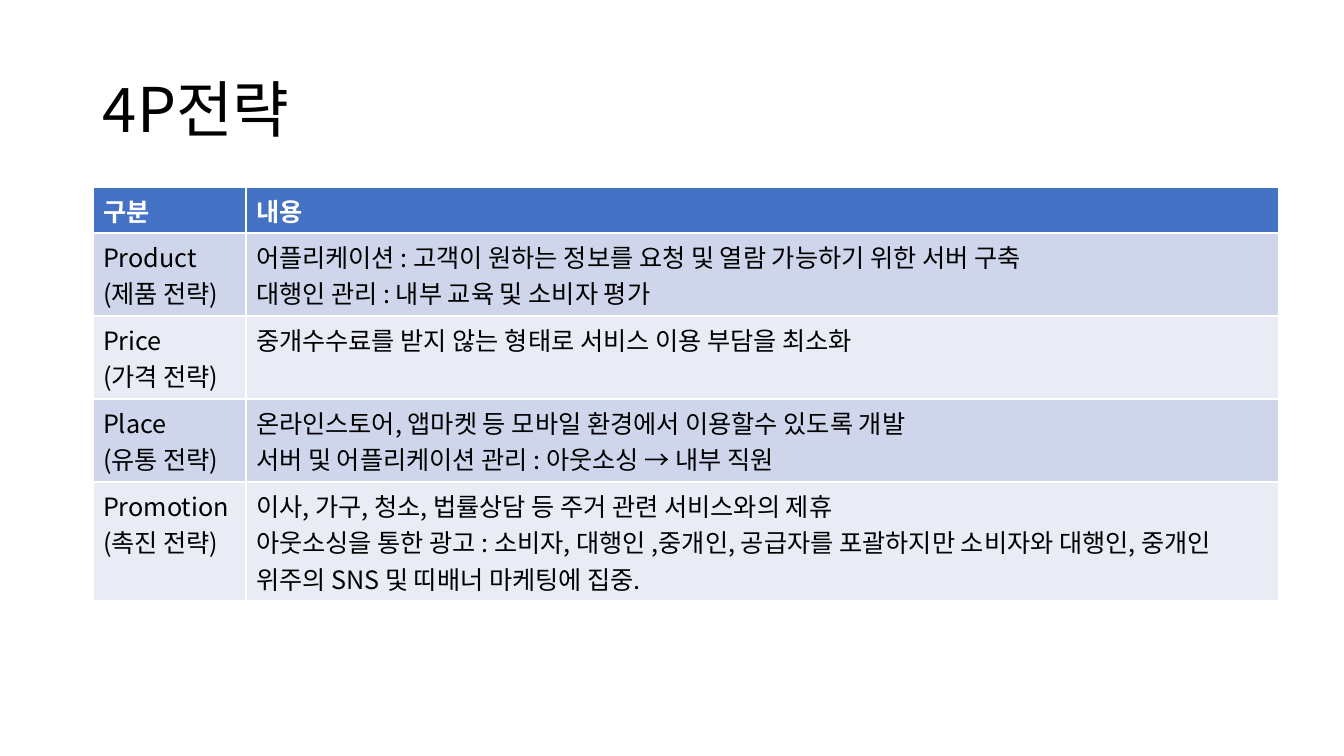
from pptx import Presentation
from pptx.dml.color import RGBColor
from pptx.enum.text import MSO_ANCHOR
from pptx.oxml.ns import qn
from pptx.util import Pt
from lxml import etree

TITLE = "4P전략"
ROWS = [
    ("구분", "내용"),
    ("Product\n(제품 전략)",
     "어플리케이션 : 고객이 원하는 정보를 요청 및 열람 가능하기 위한 서버 구축\n"
     "대행인 관리 : 내부 교육 및 소비자 평가"),
    ("Price\n(가격 전략)",
     "중개수수료를 받지 않는 형태로 서비스 이용 부담을 최소화"),
    ("Place\n(유통 전략)",
     "온라인스토어, 앱마켓 등 모바일 환경에서 이용할수 있도록 개발\n"
     "서버 및 어플리케이션 관리 : 아웃소싱 → 내부 직원"),
    ("Promotion\n(촉진 전략)",
     "이사, 가구, 청소, 법률상담 등 주거 관련 서비스와의 제휴\n"
     "아웃소싱을 통한 광고 : 소비자, 대행인 ,중개인, 공급자를 포괄하지만 "
     "소비자와 대행인, 중개인 위주의 SNS 및 띠배너 마케팅에 집중."),
]
COL_WIDTHS = (153, 1033)
ROW_HEIGHTS = (46, 83, 83, 83, 119)
LEFT, TABLE_TOP = 93, 187
TITLE_BOX = (LEFT, 40, 1159, 146)

FONT = "Noto Sans CJK KR"
BLACK = RGBColor(0x00, 0x00, 0x00)
WHITE = RGBColor(0xFF, 0xFF, 0xFF)
HEADER = RGBColor(0x44, 0x72, 0xC4)
BANDS = (RGBColor(0xCF, 0xD5, 0xEA), RGBColor(0xE9, 0xEB, 0xF5))
MIDDLE = MSO_ANCHOR.MIDDLE


def px(n):
    return round(n * 914400 / 100.8)


def write(tf, text, size, color, bold=False):
    tf.text = text
    for p in tf.paragraphs:
        for r in p.runs:
            r.font.name = FONT
            r.font.size = Pt(size)
            r.font.bold = bold
            r.font.color.rgb = color
            ea = etree.SubElement(r.font._element, qn("a:ea"))
            ea.set("typeface", FONT)


prs = Presentation()
prs.slide_width, prs.slide_height = px(1344), px(756)
s = prs.slides.add_slide(prs.slide_layouts[6])

tf = s.shapes.add_textbox(*map(px, TITLE_BOX)).text_frame
tf.word_wrap = True
tf.vertical_anchor = MIDDLE
write(tf, TITLE, 44, BLACK)
tf.paragraphs[0].line_spacing = 0.9

table = s.shapes.add_table(
    len(ROWS), len(COL_WIDTHS), px(LEFT), px(TABLE_TOP),
    px(sum(COL_WIDTHS)), px(sum(ROW_HEIGHTS))).table
for column, width in zip(table.columns, COL_WIDTHS):
    column.width = px(width)
for i, (row, height) in enumerate(zip(table.rows, ROW_HEIGHTS)):
    row.height = px(height)
    is_header = i == 0
    for cell, text in zip(row.cells, ROWS[i]):
        cell.fill.solid()
        cell.fill.fore_color.rgb = HEADER if is_header else BANDS[(i - 1) % 2]
        write(cell.text_frame, text, 18, WHITE if is_header else BLACK, is_header)

prs.save("out.pptx")
